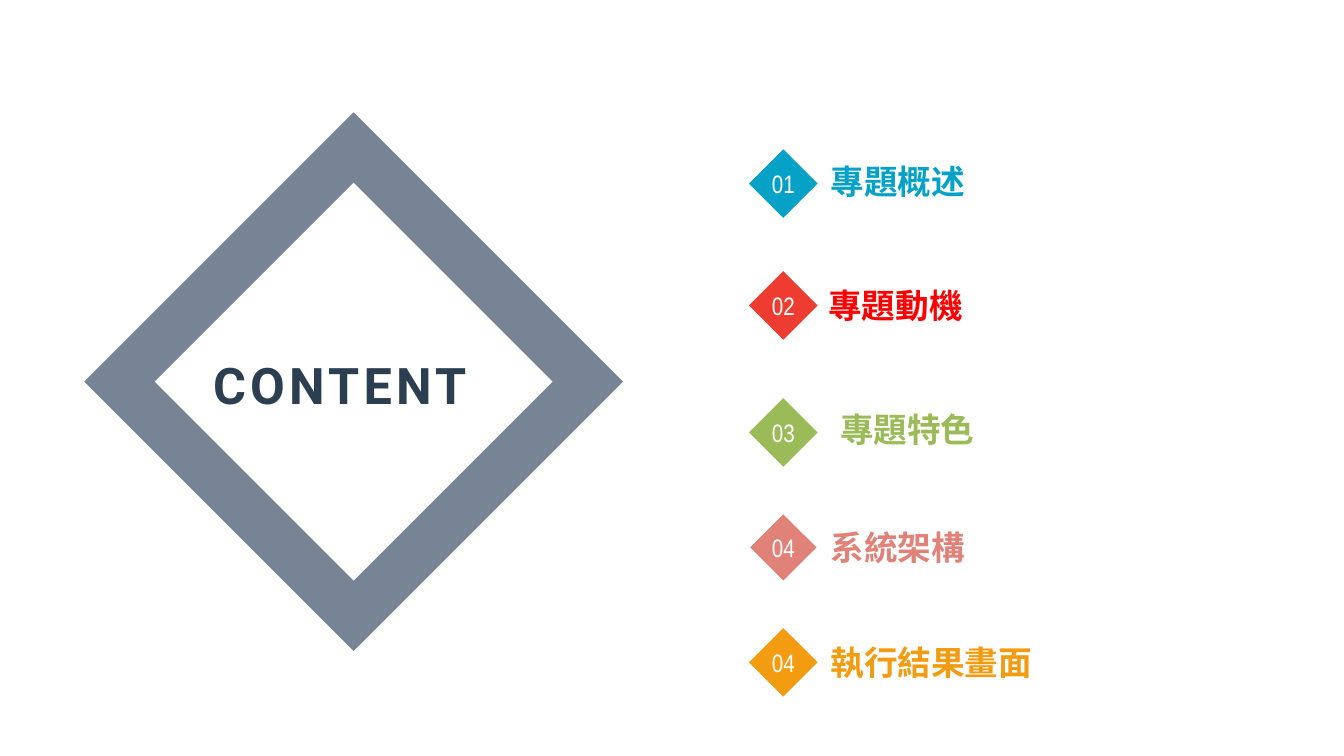
import pptx
import pptx.util
import pptx.dml.color
import pptx.enum.shapes
import pptx.enum.text
import pptx.oxml.ns
import lxml.etree

Pt = pptx.util.Pt
RGB = pptx.dml.color.RGBColor.from_string
Kind = pptx.enum.shapes.MSO_SHAPE
Align = pptx.enum.text.PP_ALIGN
Anchor = pptx.enum.text.MSO_ANCHOR


class Theme:
    white, frame, ink = "FFFFFF", "778495", "2C3F50"
    blue, red, redtext = "06A1C6", "EE3C30", "FF0000"
    green, pink, amber = "9BBB59", "E18278", "F39C12"
    head, label, num = 36, 24, 18
    headfont, cjk, numfont = "Roboto", "Noto Sans CJK SC", "Arial Narrow"


def write(shape, text, face, size, color, bold, align, anchor, inset):
    """Fill a shape with one line of formatted text."""
    box = shape.text_frame
    form = {
        "margin_left": Pt(inset[0]), "margin_top": Pt(inset[1]),
        "margin_right": Pt(inset[2]), "margin_bottom": Pt(inset[3]),
        "word_wrap": False, "vertical_anchor": anchor,
        "auto_size": pptx.enum.text.MSO_AUTO_SIZE.NONE,
    }
    for key, value in form.items():
        setattr(box, key, value)
    para = box.paragraphs[0]
    para.alignment = align
    run = para.add_run()
    run.text = text
    for key, value in {"name": face, "size": Pt(size), "bold": bold}.items():
        setattr(run.font, key, value)
    run.font.color.rgb = RGB(color)
    # East Asian glyphs take their own typeface
    props = run.font._element
    east = lxml.etree.SubElement(props, pptx.oxml.ns.qn("a:ea"))
    east.set("typeface", face)
    return props


def paint(shape, color):
    """Give a shape a flat fill with no outline or shadow."""
    shape.shadow.inherit = False
    shape.fill.solid()
    shape.fill.fore_color.rgb = RGB(color)
    shape.line.fill.background()


deck = pptx.Presentation()
deck.slide_width, deck.slide_height = Pt(960), Pt(540)
slide = deck.slides.add_slide(deck.slide_layouts[5])

# Title inside the frame, wide enough for one line
title = slide.shapes.title
spot = {"left": 143, "top": 249, "width": 197.5, "height": 47.5}
for key, value in spot.items():
    setattr(title, key, Pt(value))
props = write(title, "CONTENT", Theme.headfont, Theme.head, Theme.ink, True,
              Align.RIGHT, Anchor.TOP, (0, 3.6, 7.2, 3.6))
props.set("spc", "300")

# Diamond frame: outer outline and a hole wound the other way
midx, midy = 252.6, 272.6
rings = []
for reach, turn in ((192.4, 1), (142.2, -1)):
    rings.append([(Pt(midx + reach * x * turn), Pt(midy + reach * y))
                  for x, y in ((0, -1), (1, 0), (0, 1), (-1, 0))])
outer, hole = rings
build = slide.shapes.build_freeform(*outer[0], scale=1.0)
build.add_line_segments(outer[1:], close=True)
build.move_to(*hole[0])
build.add_line_segments(hole[1:], close=True)
paint(build.convert_to_shape(), Theme.frame)

# Agenda rows: number, label, diamond top, label left and top, colours, align
rows = [
    ("01", "專題概述", 106.6, 565.2, 124.6, Theme.blue, Theme.blue, Align.LEFT),
    ("02", "專題動機", 193.7, 469.8, 212.6, Theme.red, Theme.redtext, Align.CENTER),
    ("03", "專題特色", 284.4, 572, 301.7, Theme.green, Theme.green, Align.LEFT),
    ("04", "系統架構", 366.5, 565.2, 385.9, Theme.pink, Theme.pink, Align.LEFT),
    ("04", "執行結果畫面", 448.6, 565.2, 468, Theme.amber, Theme.amber, Align.LEFT),
]
side = 49
for num, label, top, left, base, color, ink, align in rows:
    group = slide.shapes.add_group_shape()
    gem = group.shapes.add_shape(Kind.DIAMOND, Pt(535), Pt(top), Pt(side), Pt(side))
    paint(gem, color)
    if color == Theme.pink:
        gem.line.color.rgb = RGB(Theme.white)
        gem.line.width = Pt(1)
    write(gem, num, Theme.numfont, Theme.num, Theme.white, False,
          Align.CENTER, Anchor.MIDDLE, (0, 0, 0, 0))
    box = group.shapes.add_textbox(Pt(left), Pt(base), Pt(311.8), Pt(19.4))
    write(box, label, Theme.cjk, Theme.label, ink, True,
          align, Anchor.BOTTOM, (28.1, 0, 0, 0))

deck.save("out.pptx")
